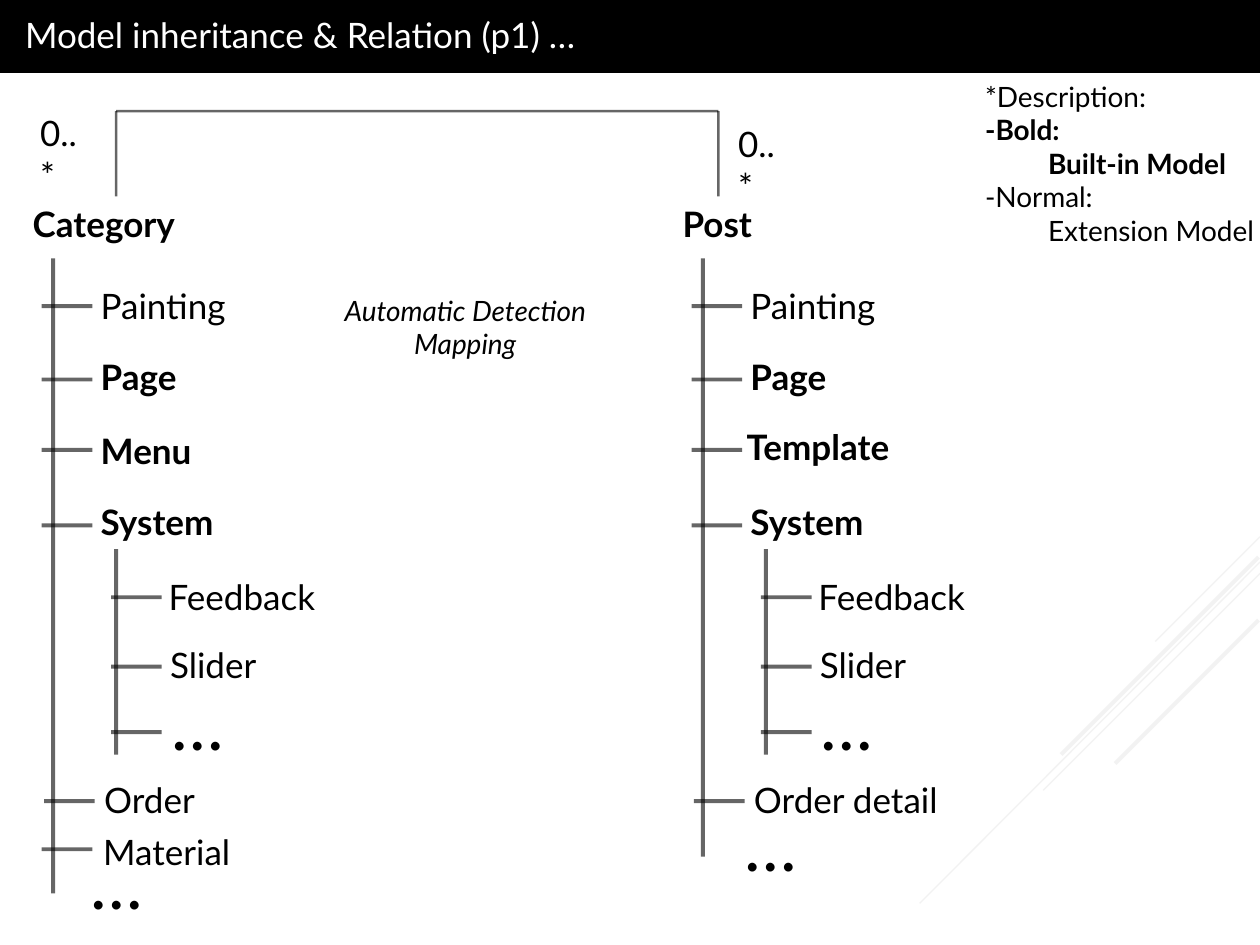
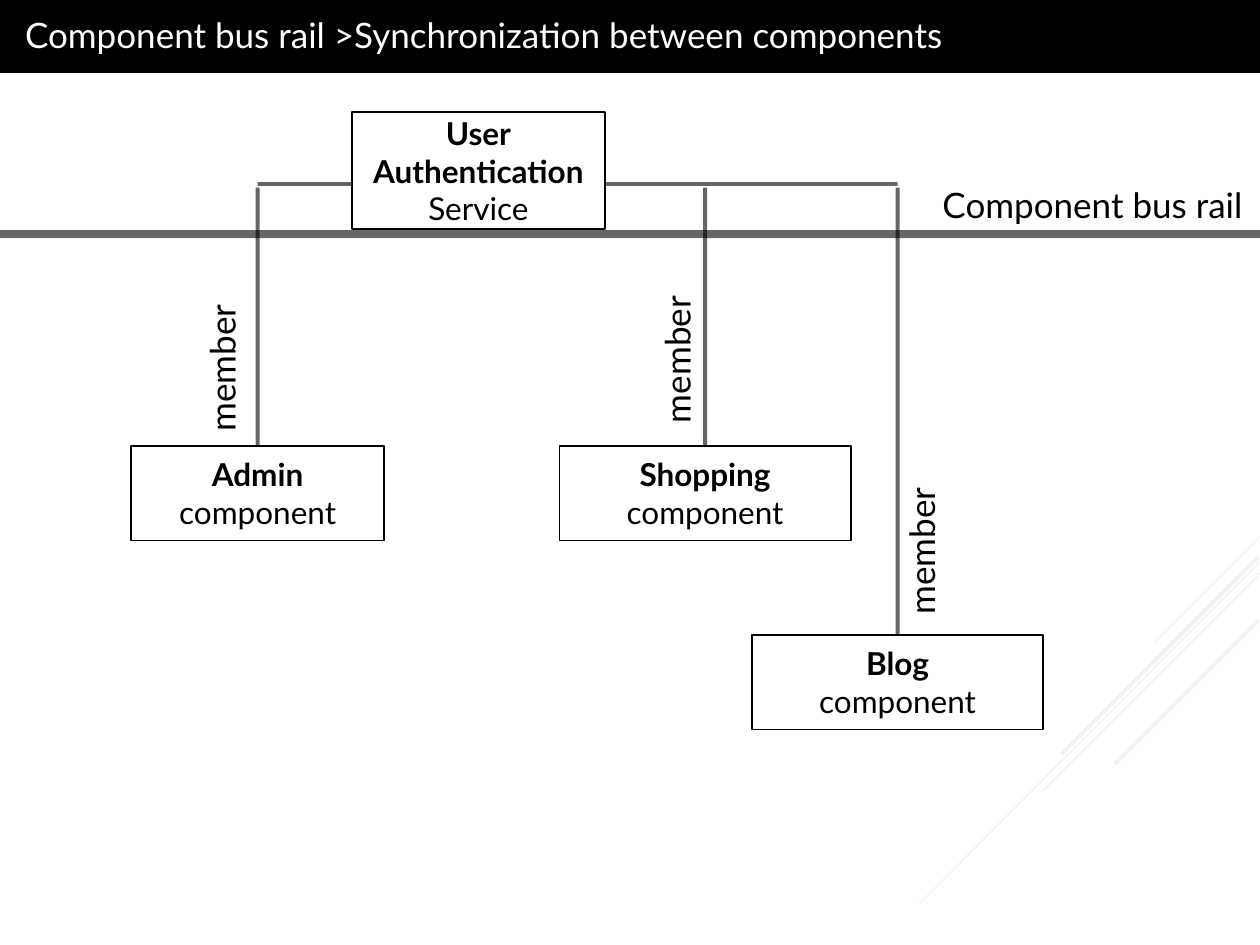
"""Build two slides on model inheritance and the component bus rail."""
from lxml import etree
from pptx import Presentation
from pptx import util as u
from pptx.dml.color import RGBColor
from pptx.enum import shapes, text
from pptx.oxml import ns

COLOURS = {"ink": "000000", "paper": "FFFFFF", "stripe": "F2F2F2"}
FONT = "Lato"
STRIPES = [
    (25.4, 10.82, 23.29, 12.93, 0.75),
    (25.4, 11.33, 18.54, 18.21, 0.75),
    (25.4, 11.56, 21.03, 15.93, 0.75),
    (25.37, 11.23, 21.39, 15.21, 2.25),
    (25.37, 12.5, 22.48, 15.39, 2.25),
]


class Deck:
    """Hold the style and the current slide."""

    def __init__(self):
        self.presentation = Presentation()
        self.presentation.slide_width = u.Cm(25.4)
        self.presentation.slide_height = u.Cm(19.05)
        self.slide = None

    def start(self, title, width):
        """Add a slide with its stripes, band and title."""
        self.slide = self.presentation.slides.add_slide(self.presentation.slide_layouts[5])
        for *ends, weight in STRIPES:
            self.line(*ends, weight, "stripe", None)
        self.box(-0.03, -0.08, 25.43, 1.55, fill="ink")
        shape = self.slide.shapes.title
        self.slide.shapes._spTree.append(shape._element)
        shape.left, shape.top = u.Cm(0.25), u.Cm(0.15)
        shape.width, shape.height = u.Cm(width), u.Cm(1.12)
        self.set_text(shape, [(title, False)], 20, "paper")

    def set_text(self, shape, rows, size=20, colour="ink", align="LEFT",
                 anchor="TOP", wrap=False, grow=True, italic=False):
        """Fill a shape with one paragraph for each (words, bold) row."""
        frame = shape.text_frame
        frame.word_wrap = wrap
        frame.vertical_anchor = text.MSO_ANCHOR[anchor]
        if grow:
            frame.auto_size = text.MSO_AUTO_SIZE.SHAPE_TO_FIT_TEXT
        for index, (words, bold) in enumerate(rows):
            paragraph = frame.add_paragraph() if index else frame.paragraphs[0]
            paragraph.alignment = text.PP_ALIGN[align]
            run = paragraph.add_run()
            run.text = words
            run.font.name, run.font.size = FONT, u.Pt(size)
            run.font.bold, run.font.italic = bold, italic
            run.font.color.rgb = RGBColor.from_string(COLOURS[colour])

    def label(self, left, top, width, rows, height=1.12, **style):
        """Add a text box."""
        shape = self.slide.shapes.add_textbox(u.Cm(left), u.Cm(top), u.Cm(width), u.Cm(height))
        self.set_text(shape, rows, **style)
        return shape

    def box(self, left, top, width, height, rows=(), fill=None, outline=None):
        """Add a rectangle with centred text."""
        shape = self.slide.shapes.add_shape(
            shapes.MSO_SHAPE.RECTANGLE, u.Cm(left), u.Cm(top), u.Cm(width), u.Cm(height))
        shape.shadow.inherit = False
        if fill:
            shape.fill.solid()
            shape.fill.fore_color.rgb = RGBColor.from_string(COLOURS[fill])
        else:
            shape.fill.background()
        if outline:
            shape.line.color.rgb = RGBColor.from_string(COLOURS[outline])
            shape.line.width = u.Pt(1)
        else:
            shape.line.fill.background()
        self.set_text(shape, rows, 18, align="CENTER", anchor="MIDDLE", wrap=True, grow=False)
        return shape

    def line(self, x1, y1, x2, y2, weight=2.25, colour="ink", opacity=60):
        """Add a straight connector, see-through where opacity is given."""
        connector = self.slide.shapes.add_connector(
            shapes.MSO_CONNECTOR.STRAIGHT, u.Cm(x1), u.Cm(y1), u.Cm(x2), u.Cm(y2))
        connector.line.width = u.Pt(weight)
        connector.line.color.rgb = RGBColor.from_string(COLOURS[colour])
        properties = connector._element.spPr
        if opacity:
            paint = properties.find(".//" + ns.qn("a:srgbClr"))
            etree.SubElement(paint, ns.qn("a:alpha")).set("val", str(opacity * 1000))
        etree.SubElement(properties, ns.qn("a:effectLst"))
        return connector

    def tree(self, left, root, root_width, bottom, items, more):
        """Draw a model tree: a trunk, a nested branch and the named items."""
        self.label(left + 0.41, 3.96, root_width, [(root, True)])
        self.line(left + 1.07, 5.21, left + 1.07, bottom)
        self.line(left + 2.34, 11.07, left + 2.34, 15.21)
        for words, bold, x, top, width, tick_x, tick_y in items:
            self.line(left + tick_x + 1.02, tick_y, left + tick_x, tick_y)
            self.label(left + x, top, width, [(words, bold)])
        for x, top in [(3.2, 13.59), more]:
            self.label(left + x, top, 1.55, [("…", False)], 1.96, size=40)
        self.line(left + 3.26, 14.76, left + 2.24, 14.76)


SHARED_ITEMS = [
    ("Painting", False, 1.78, 5.61, 3.07, 0.84, 6.17),
    ("Page", True, 1.78, 7.04, 2.13, 0.84, 7.65),
    ("System", True, 1.78, 9.96, 2.9, 0.84, 10.59),
    ("Feedback", False, 3.15, 11.48, 3.48, 2.24, 12.04),
    ("Slider", False, 3.18, 12.85, 2.29, 2.24, 13.44),
]
CATEGORY_ITEMS = [
    ("Menu", True, 1.78, 8.53, 2.44, 0.84, 9.07),
    ("Order", False, 1.85, 15.57, 2.34, 0.89, 16.15),
    ("Material", False, 1.83, 16.61, 3.07, 0.84, 17.12),
]
POST_ITEMS = [
    ("Template", True, 1.7, 8.46, 3.61, 0.84, 9.07),
    ("Order detail", False, 1.85, 15.57, 4.27, 0.89, 16.15),
]


def inheritance_slide(deck):
    """Compare the category and post trees."""
    deck.start("Model inheritance & Relation (p1) …", 11.89)
    legend = deck.label(19.61, 1.47, 5.97, [
        ("*Description:", False), ("-Bold:", True), ("Built-in Model", True),
        ("-Normal:", False), ("Extension Model", False)], 3.68, size=16)
    for index in (2, 4):
        properties = legend.text_frame.paragraphs[index]._p.get_or_add_pPr()
        properties.set("marL", str(u.Cm(1.27)))
    deck.label(6.6, 5.79, 5.56, [("Automatic Detection", False), ("Mapping", False)],
               1.63, size=16, align="CENTER", italic=True)
    deck.tree(0, "Category", 3.58, 18.01, SHARED_ITEMS + CATEGORY_ITEMS, (1.57, 16.79))
    deck.tree(13.1, "Post", 1.96, 17.27, SHARED_ITEMS + POST_ITEMS, (1.66, 16.03))
    deck.line(2.34, 2.24, 14.48, 2.24, 1.5)
    for x in (2.34, 14.48):
        deck.line(x, 2.24, x, 3.96, 1.5)
    for left, top in [(0.56, 2.13), (14.63, 2.34)]:
        deck.label(left, top, 1.4, [("0..*", False)], wrap=True)


def bus_rail_slide(deck):
    """Show the components that join the authentication service."""
    deck.start("Component bus rail >Synchronization between components", 19.43)
    components = [
        ("Admin", 2.64, 8.99, 5.11, (2.64, 6.55)),
        ("Shopping", 11.28, 8.99, 5.87, (11.81, 6.38)),
        ("Blog", 15.16, 12.8, 5.87, (16.74, 10.24)),
    ]
    centres = [left + width / 2 for _, left, _, width, _ in components]
    deck.line(centres[-1], 3.71, centres[0], 3.71)
    deck.line(0, 4.72, 25.4, 4.72, 4.5)
    deck.label(18.75, 3.58, 6.73, [("Component bus rail", False)])
    deck.box(7.09, 2.26, 5.11, 2.36, [
        ("User", True), ("Authentication", True), ("Service", False)], "paper", "ink")
    for centre, (name, left, top, width, member) in zip(centres, components):
        component = deck.box(left, top, width, 1.91,
                             [(name, True), ("component", False)], outline="ink")
        deck.line(centre, 3.78, centre, top).end_connect(component, 0)
        deck.label(*member, 3.68, [("member", False)], wrap=True).rotation = 270


def main():
    """Build and save the slides."""
    deck = Deck()
    inheritance_slide(deck)
    bus_rail_slide(deck)
    deck.presentation.save("out.pptx")


if __name__ == "__main__":
    main()
